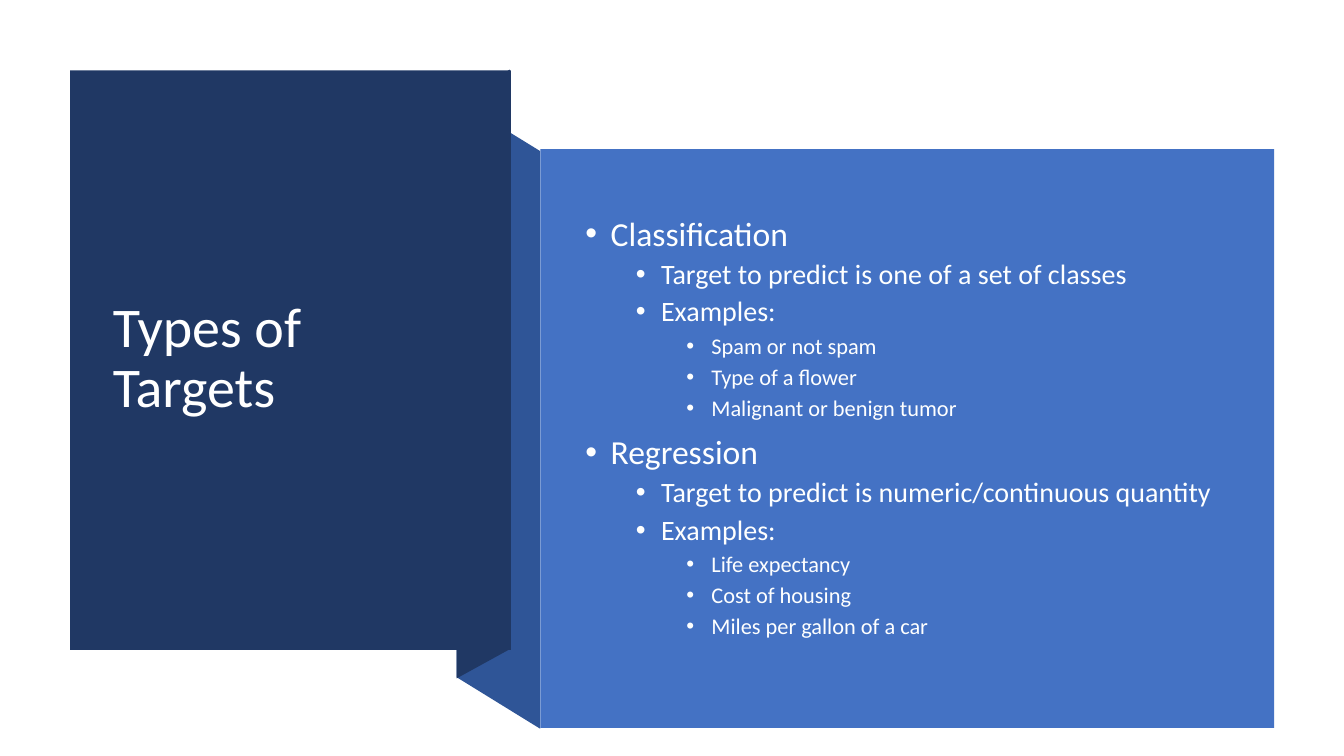
import dataclasses
import typing

import lxml.etree
import pptx
import pptx.dml.color
import pptx.enum.shapes
import pptx.enum.text
import pptx.oxml.ns
import pptx.presentation
import pptx.shapes.autoshape
import pptx.slide
import pptx.util

Pt = pptx.util.Pt
FONT = "Calibri"
COLORS = {
    "ribbon": "2F5597",
    "navy": "203864",
    "panel": "4472C4",
    "title": "FFFFFF",
    "body": "FEFFFF",
}


@dataclasses.dataclass(frozen=True)
class Fold:
    color: str
    corners: list[tuple[float, float]]


@dataclasses.dataclass(frozen=True)
class Box:
    left: float
    top: float
    width: float
    height: float

    def lengths(self) -> list[pptx.util.Length]:
        return [Pt(value) for value in dataclasses.astuple(self)]


@dataclasses.dataclass(frozen=True)
class Level:
    size: float
    margin: float
    space_before: float


@dataclasses.dataclass(frozen=True)
class Point:
    level: int
    text: str


LEVELS = [Level(24, 18, 10), Level(20, 54, 5), Level(16, 90, 5)]
HANGING = 18

RIBBON_FOLDS = [
    Fold("ribbon", [(385.9, 520.6), (326.2, 483.8), (326.2, 71.3), (385.9, 108)]),
    Fold("navy", [(364.3, 463.7), (326.2, 484.6), (326.2, 70.6), (364.3, 49.7)]),
]
TITLE_PANEL = Box(50, 50.2, 315, 414)
TITLE_BOX = Box(73.4, 77, 267.1, 359.3)
BODY_PANEL = Box(385.9, 106.6, 524.2, 413.3)
BODY_BOX = Box(411.1, 135.4, 468.7, 341.3)

POINTS = [
    Point(0, "Classification"),
    Point(1, "Target to predict is one of a set of classes"),
    Point(1, "Examples:"),
    Point(2, "Spam or not spam"),
    Point(2, "Type of a flower"),
    Point(2, "Malignant or benign tumor"),
    Point(0, "Regression"),
    Point(1, "Target to predict is numeric/continuous quantity"),
    Point(1, "Examples:"),
    Point(2, "Life expectancy"),
    Point(2, "Cost of housing"),
    Point(2, "Miles per gallon of a car"),
]


def apply(target: typing.Any, values: dict[str, typing.Any]) -> None:
    for attribute, value in values.items():
        setattr(target, attribute, value)


def paint(shape: pptx.shapes.autoshape.Shape, color: str) -> None:
    shape.shadow.inherit = False
    shape.fill.solid()
    shape.fill.fore_color.rgb = pptx.dml.color.RGBColor.from_string(COLORS[color])
    shape.line.fill.background()


def draw_fold(slide: pptx.slide.Slide, fold: Fold) -> None:
    corners = [(Pt(x), Pt(y)) for x, y in fold.corners]
    outline = slide.shapes.build_freeform(*corners[0], scale=1.0)
    outline.add_line_segments(corners[1:], close=True)
    paint(outline.convert_to_shape(), fold.color)


def draw_panel(slide: pptx.slide.Slide, box: Box, color: str) -> None:
    rectangle = pptx.enum.shapes.MSO_SHAPE.RECTANGLE
    paint(slide.shapes.add_shape(rectangle, *box.lengths()), color)


def format_frame(shape: pptx.shapes.autoshape.Shape) -> None:
    apply(shape.text_frame, {
        "word_wrap": True,
        "auto_size": pptx.enum.text.MSO_AUTO_SIZE.NONE,
        "vertical_anchor": pptx.enum.text.MSO_ANCHOR.MIDDLE,
    })


def write(paragraph: typing.Any, text: str, size: float, color: str, space_before: float) -> None:
    apply(paragraph, {
        "alignment": pptx.enum.text.PP_ALIGN.LEFT,
        "line_spacing": 0.9,
        "space_before": Pt(space_before),
    })
    run = paragraph.add_run()
    run.text = text
    apply(run.font, {"name": FONT, "size": Pt(size)})
    run.font.color.rgb = pptx.dml.color.RGBColor.from_string(COLORS[color])


def add_bullet(paragraph: typing.Any, margin: float) -> None:
    properties = paragraph._p.get_or_add_pPr()
    properties.set("marL", str(Pt(margin)))
    properties.set("indent", str(-Pt(HANGING)))
    qualified = pptx.oxml.ns.qn
    lxml.etree.SubElement(properties, qualified("a:buFont"), typeface="Arial")
    lxml.etree.SubElement(properties, qualified("a:buChar"), char="•")


def place_title(slide: pptx.slide.Slide, text: str) -> None:
    title = slide.shapes.title
    apply(title, dict(zip(("left", "top", "width", "height"), TITLE_BOX.lengths())))
    format_frame(title)
    write(title.text_frame.paragraphs[0], text, 40, "title", 0)
    title.element.getparent().append(title.element)


def place_points(slide: pptx.slide.Slide) -> None:
    body = slide.shapes.add_textbox(*BODY_BOX.lengths())
    format_frame(body)
    frame = body.text_frame
    for index, point in enumerate(POINTS):
        paragraph = frame.add_paragraph() if index else frame.paragraphs[0]
        level = LEVELS[point.level]
        paragraph.level = point.level
        write(paragraph, point.text, level.size, "body", level.space_before)
        add_bullet(paragraph, level.margin)


def main() -> None:
    deck = pptx.Presentation()
    apply(deck, {"slide_width": Pt(960), "slide_height": Pt(540)})
    slide = deck.slides.add_slide(deck.slide_layouts.get_by_name("Title Only"))
    for fold in RIBBON_FOLDS:
        draw_fold(slide, fold)
    draw_panel(slide, TITLE_PANEL, "navy")
    place_title(slide, "Types of Targets")
    draw_panel(slide, BODY_PANEL, "panel")
    place_points(slide)
    deck.save("out.pptx")


if __name__ == "__main__":
    main()
